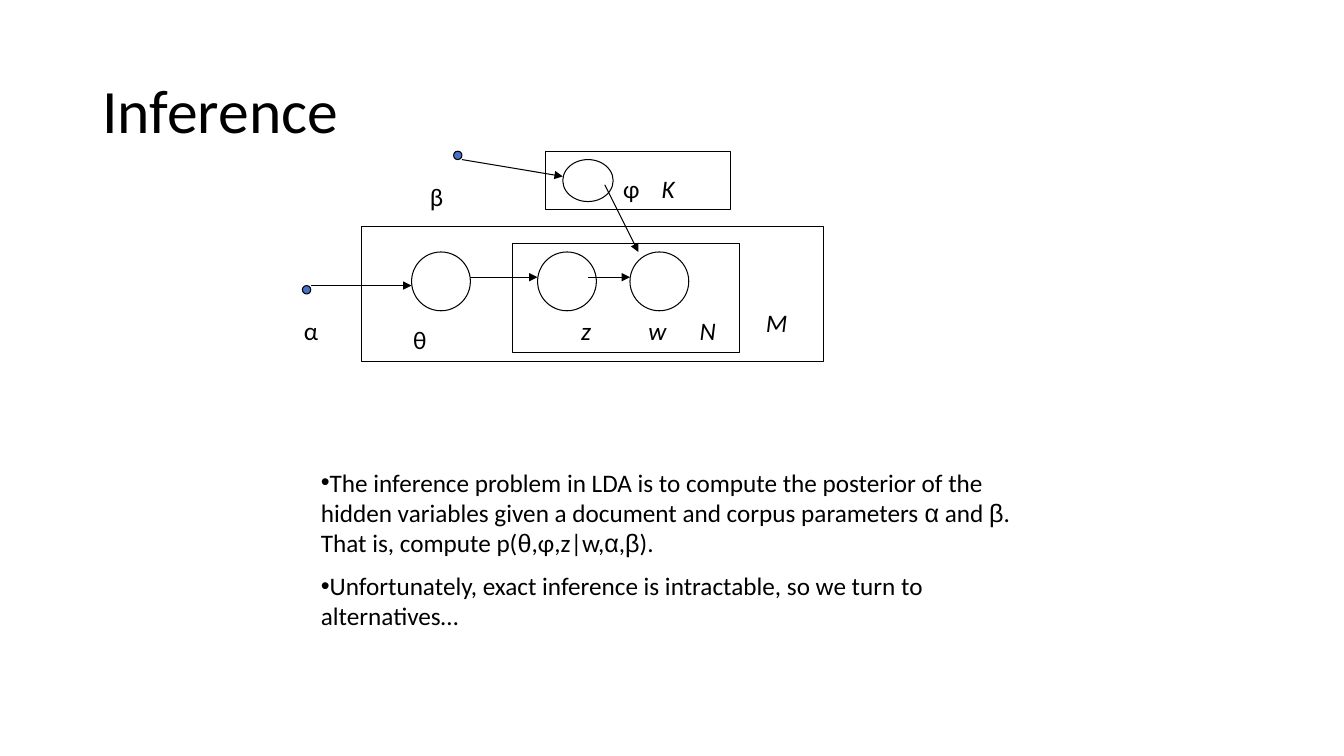
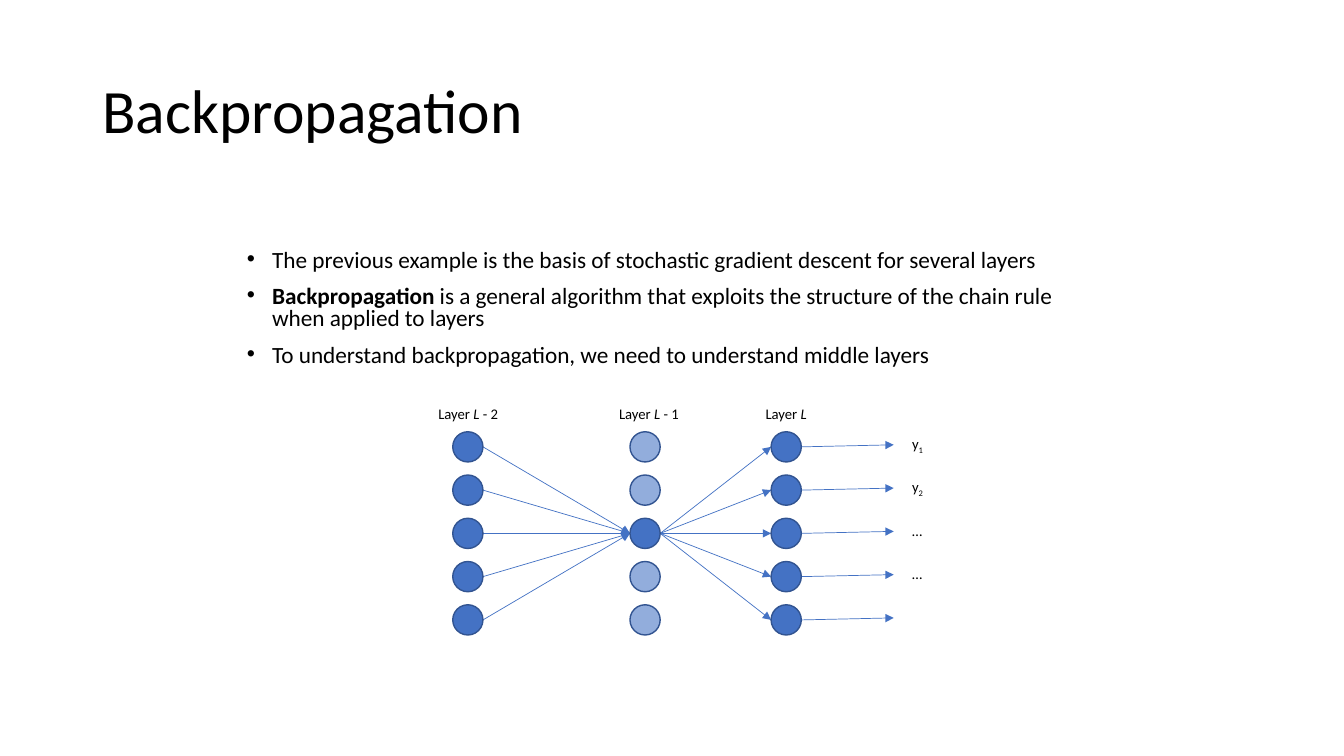
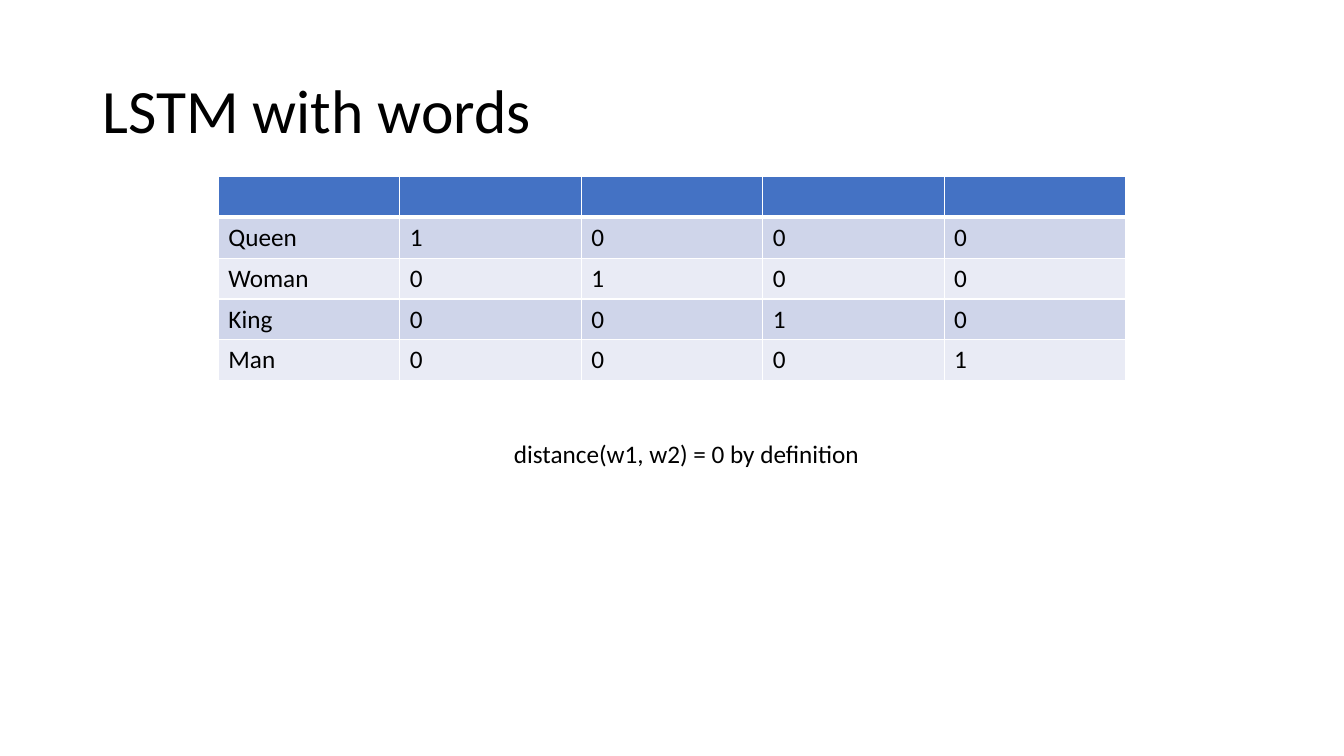
from typing import NamedTuple, Optional

from lxml import etree
from pptx import Presentation
from pptx import util as u
from pptx.dml.color import RGBColor
from pptx.enum import shapes, text
from pptx.oxml.ns import qn

BLACK = RGBColor(0x00, 0x00, 0x00)
WHITE = RGBColor(0xFF, 0xFF, 0xFF)
BLUE = RGBColor(0x44, 0x72, 0xC4)
NAVY = RGBColor(0x32, 0x54, 0x91)
BANDS = (RGBColor(0xCF, 0xD5, 0xEA), RGBColor(0xE9, 0xEB, 0xF5))

FONT = "Calibri"
COLS, ROWS = 160, 90
UNIT = u.Inches(1) / 12
LINE = 4.8  # height of a one-line text box
OVAL = shapes.MSO_SHAPE.OVAL
RECT = shapes.MSO_SHAPE.RECTANGLE
LEFT, MID = text.PP_ALIGN.LEFT, text.PP_ALIGN.CENTER


class Box(NamedTuple):
    """A frame in grid columns and rows."""
    x: float
    y: float
    w: float
    h: float


class Run(NamedTuple):
    text: str
    bold: bool = False
    ital: bool = False
    sub: bool = False
    font: str = FONT


class Form(NamedTuple):
    """A white outlined shape of the plate diagram."""
    kind: int
    box: Box
    fill: RGBColor = WHITE


class Mark(NamedTuple):
    text: str
    x: float
    y: float
    ital: bool = False


class Link(NamedTuple):
    x: float
    y: float
    to_x: float
    to_y: float


class Layer(NamedTuple):
    runs: list
    x: float
    label: Box
    align: int


TITLE = Box(11, 4.8, 138, 17.4)


def greek(char: str) -> Run:
    return Run(char, font="Arial")


def grid(n: float) -> int:
    return round(n * UNIT)


def place(item, box: Box) -> None:
    item.left, item.top, item.width, item.height = map(grid, box)


def write(frame, paras: list, *, size: float = 18, align=LEFT, gap: float = 0,
          lines: float = 1, bullet: bool = False, indent: float = 0,
          anchor=text.MSO_ANCHOR.TOP, wrap: bool = True) -> None:
    """Fill a frame; each paragraph is a list of strings and Runs."""
    frame.word_wrap = wrap
    frame.auto_size = text.MSO_AUTO_SIZE.NONE
    frame.vertical_anchor = anchor
    for i, runs in enumerate(paras):
        para = frame.add_paragraph() if i else frame.paragraphs[0]
        if bullet:
            prop = para._p.get_or_add_pPr()
            prop.set("marL", str(grid(indent)))
            prop.set("indent", str(-grid(indent)))
            etree.SubElement(prop, qn("a:buFont"), typeface="Arial")
            etree.SubElement(prop, qn("a:buChar"), char="•")
        para.alignment = align
        para.line_spacing = lines
        para.space_before = u.Pt(gap if i else 0)
        for part in runs:
            part = Run(part) if isinstance(part, str) else part
            run = para.add_run()
            run.text = part.text
            font = run.font
            font.name, font.size = part.font, u.Pt(size)
            font.bold, font.italic = part.bold, part.ital
            font.color.rgb = BLACK
            if part.sub:
                run._r.get_or_add_rPr().set("baseline", "-25000")


def label(slide, box: Box, runs: list, **form) -> None:
    write(slide.shapes.add_textbox(*map(grid, box)).text_frame, [runs], **form)


def draw(slide, kind: int, box: Box, fill: RGBColor, edge: RGBColor,
         width: float, alpha: Optional[int] = None) -> None:
    form = slide.shapes.add_shape(kind, *map(grid, box))
    form.shadow.inherit = False
    form.fill.solid()
    form.fill.fore_color.rgb = fill
    form.line.color.rgb = edge
    form.line.width = u.Pt(width)
    if alpha is not None:
        tint = form._element.spPr.find(qn("a:solidFill")).find(qn("a:srgbClr"))
        etree.SubElement(tint, qn("a:alpha"), val=str(alpha * 1000))


def arrow(slide, link: Link, color: RGBColor, width: float) -> None:
    line = slide.shapes.add_connector(
        shapes.MSO_CONNECTOR.STRAIGHT, *map(grid, link))
    line.line.color.rgb = color
    line.line.width = u.Pt(width)
    etree.SubElement(line.line._get_or_add_ln(), qn("a:tailEnd"),
                     type="triangle")
    etree.SubElement(line._element.spPr, qn("a:effectLst"))


def start(deck, name: str, layout: int = 1):
    """Add a slide with the shared title style."""
    slide = deck.slides.add_slide(deck.slide_layouts[layout])
    place(slide.shapes.title, TITLE)
    write(slide.shapes.title.text_frame, [[name]], size=44, lines=0.9,
          anchor=text.MSO_ANCHOR.MIDDLE)
    return slide


def body(slide, box: Box, paras: list, **form) -> None:
    holder = slide.placeholders[1]
    place(holder, box)
    write(holder.text_frame, paras, bullet=True, **form)


def infer(deck) -> None:
    slide = start(deck, "Inference")
    body(slide, Box(37, 55, 88, 26.4), [
        ["The inference problem in LDA is to compute the posterior of the "
         "hidden variables given a document and corpus parameters ",
         greek("α"), " and ", greek("β"), ". That is, compute p(",
         greek("θ"), ",φ,z|w,", greek("α"), ",", greek("β"), ")."],
        ["Unfortunately, exact inference is intractable, "
         "so we turn to alternatives…"],
    ], gap=9)
    forms = [
        Form(OVAL, Box(36, 34, 1, 1), BLUE),
        Form(RECT, Box(43, 27, 55, 16)),
        Form(RECT, Box(61, 29, 27, 13)),
        *(Form(OVAL, Box(x, 30, 7, 7)) for x in (49, 64, 75)),
        Form(OVAL, Box(54, 18, 1, 1), BLUE),
        Form(RECT, Box(65, 18, 22, 7)),
        Form(OVAL, Box(67, 19, 6, 5)),
    ]
    marks = [
        Mark("α", 35, 37), Mark("θ", 48, 38), Mark("β", 50, 21),
        Mark("φ", 73, 20), Mark("K", 77.6, 20, True),
        Mark("z", 68, 37, True), Mark("w", 76, 37, True),
        Mark("N", 82.1, 37, True), Mark("M", 90, 36, True),
    ]
    links = [
        Link(37, 34, 49, 34), Link(56, 33, 64, 33), Link(70, 33, 75, 33),
        Link(72, 22, 76, 30), Link(55, 19, 67, 21),
    ]
    for form in forms:
        draw(slide, form.kind, form.box, form.fill, BLACK, 0.75)
    for mark in marks:
        label(slide, Box(mark.x, mark.y, 6, LINE),
              [Run(mark.text, ital=mark.ital)], wrap=False)
    for link in links:
        arrow(slide, link, BLACK, 0.75)


def train(deck) -> None:
    slide = start(deck, "Backpropagation")
    body(slide, Box(28.2, 29.2, 103.4, 16.7), [
        ["The previous example is the basis of stochastic gradient descent "
         "for several layers"],
        [Run("Backpropagation", bold=True),
         " is a general algorithm that exploits the structure of the chain "
         "rule when applied to layers"],
        ["To understand backpropagation, we need to understand middle layers"],
    ], size=16.6, gap=10, lines=0.8, indent=3)

    node, small = 3.6, 3.4
    mids = [53.2 + 5.15 * i for i in range(5)]
    hub = 2
    layers = [
        Layer(["Layer ", Run("L ", ital=True), "- 2"], 53.9,
              Box(51, 47.6, 9.7, small), LEFT),
        Layer(["Layer ", Run("L ", ital=True), "- 1"], 75,
              Box(72.4, 47.6, 9.7, small), MID),
        Layer(["Layer ", Run("L", ital=True)], 91.8,
              Box(89.9, 47.6, 7.4, small), MID),
    ]
    first, inner, last = (layer.x for layer in layers)
    outs = [["y", Run("1", sub=True)], ["y", Run("2", sub=True)],
            ["…"], ["…"], []]

    for mid, out in zip(mids, outs):
        for link in (Link(first + node, mid, inner, mids[hub]),
                     Link(inner + node, mids[hub], last, mid),
                     Link(last + node, mid, 106.4, mid - 0.24)):
            arrow(slide, link, BLUE, 0.5)
        if out:
            label(slide, Box(107.4, mid - 2, 4, small), out, size=10.5,
                  wrap=False)
    for layer in layers:
        label(slide, layer.label, layer.runs, size=10.5, align=layer.align,
              wrap=False)
        for i, mid in enumerate(mids):
            faint = layer.x == inner and i != hub
            draw(slide, OVAL, Box(layer.x, mid - node / 2, node, node),
                 BLUE, NAVY, 1, 58 if faint else None)


def edge(cell, head: bool) -> None:
    """Give a cell white borders, thicker below the header."""
    prop = cell._tc.get_or_add_tcPr()
    for side in "LRTB":
        width = 3 if head and side == "B" else 1
        line = etree.SubElement(prop, qn(f"a:ln{side}"), w=str(u.Pt(width)))
        fill = etree.SubElement(line, qn("a:solidFill"))
        etree.SubElement(fill, qn("a:srgbClr"), val=str(WHITE))


def words(deck) -> None:
    slide = start(deck, "LSTM with words", layout=5)
    names = ["Queen", "Woman", "King", "Man"]
    size = len(names) + 1
    table = slide.shapes.add_table(
        size, size, *map(grid, Box(26, 21, 108, 24.35))).table
    for r in range(size):
        for c in range(size):
            cell = table.cell(r, c)
            edge(cell, r == 0)
            cell.fill.solid()
            cell.fill.fore_color.rgb = BANDS[(r - 1) % 2] if r else BLUE
            if r:
                value = str(int(r == c)) if c else names[r - 1]
                write_cell(cell, value)
    label(slide, Box(60, 51.6, 44.4, LINE),
          ["distance(w1, w2) = 0 by definition"], wrap=False)


def write_cell(cell, value: str) -> None:
    run = cell.text_frame.paragraphs[0].add_run()
    run.text = value
    run.font.name, run.font.size = FONT, u.Pt(18)
    run.font.color.rgb = BLACK


def main() -> None:
    deck = Presentation()
    deck.slide_width, deck.slide_height = grid(COLS), grid(ROWS)
    for build in (infer, train, words):
        build(deck)
    deck.save("out.pptx")


if __name__ == "__main__":
    main()
